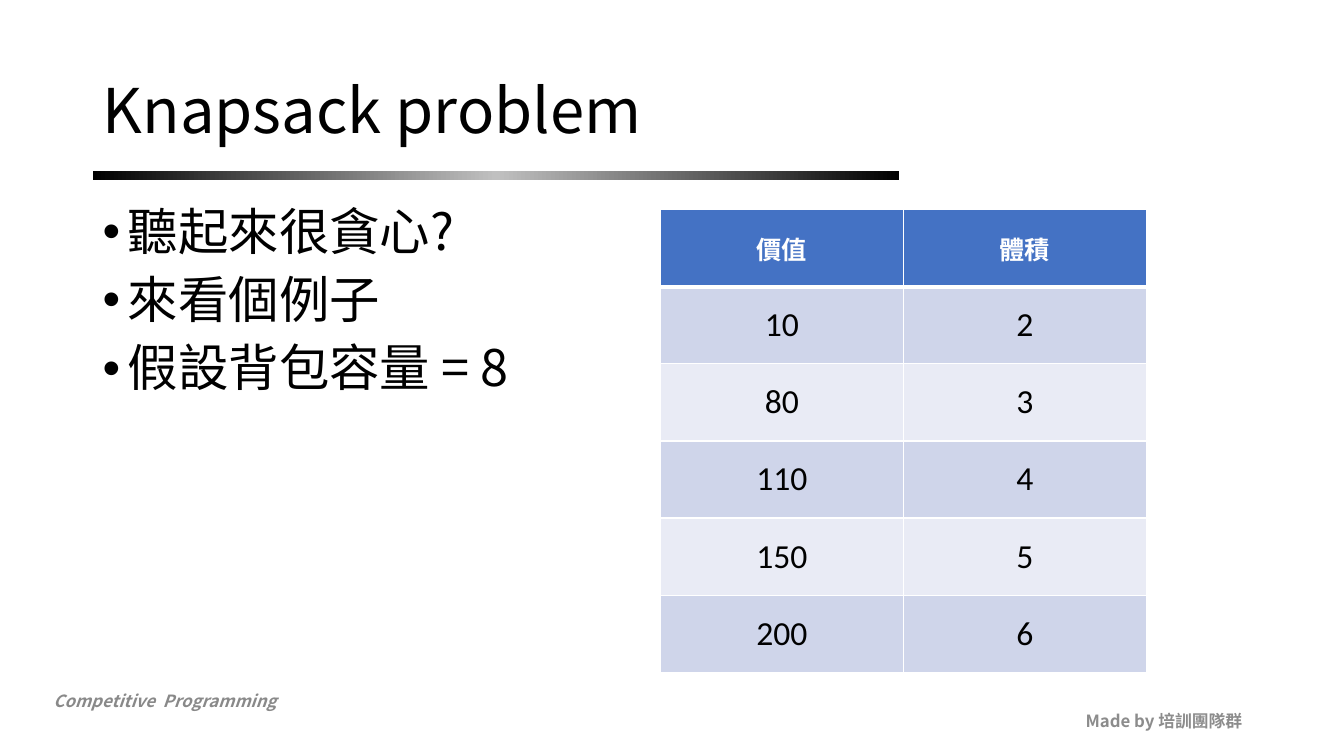
from copy import deepcopy

from lxml.etree import SubElement
from pptx import Presentation
from pptx.dml.color import RGBColor
from pptx.enum.shapes import MSO_SHAPE
from pptx.enum.text import MSO_ANCHOR, PP_ALIGN
from pptx.oxml import parse_xml
from pptx.oxml.ns import nsdecls, qn
from pptx.util import Pt

PX = 9144  # 100 px to the inch
FONT = "Noto Sans CJK SC"
COLORS = {
    "text": "000000", "white": "FFFFFF", "silver": "C0C0C0",
    "footer": "898989", "credit": "8C8C8C",
    "header": "4472C4", "odd": "CFD5EA", "even": "E9EBF5",
}


def rgb(name):
    return RGBColor.from_string(COLORS[name])


def add_text(box, lines, size, color, anchor=MSO_ANCHOR.TOP, bold=False):
    """Add a wrapped text box with one paragraph per line; return its paragraphs."""
    frame = slide.shapes.add_textbox(*(n * PX for n in box)).text_frame
    frame.word_wrap = True
    frame.vertical_anchor = anchor
    frame.text = "\n".join(lines)
    for paragraph in frame.paragraphs:
        font = paragraph.font
        font.name, font.size, font.bold = FONT, Pt(size), bold
        font.color.rgb = rgb(color)
        defaults = paragraph._p.pPr.find(qn("a:defRPr"))
        SubElement(defaults, qn("a:ea"), typeface=FONT)
    return frame.paragraphs


prs = Presentation()
prs.slide_width, prs.slide_height = 1333 * PX, 750 * PX
slide = prs.slides.add_slide(prs.slide_layouts[6])

# Footer
footer = add_text((43, 680, 425, 30), ["Competitive  Programming"], 12, "footer", bold=True)
footer[0].font.italic = True
credit = add_text((942, 695, 300, 40), ["Made by 培訓團隊群"], 12, "credit",
                  MSO_ANCHOR.MIDDLE, bold=True)
credit[0].alignment = PP_ALIGN.RIGHT

# Title and its gradient rule
rule = slide.shapes.add_shape(MSO_SHAPE.RECTANGLE, 92 * PX, 170 * PX, 800 * PX, 9 * PX)
rule.shadow.inherit = False
rule.line.fill.background()
rule.fill.gradient()
rule.fill.gradient_angle = 0
stop_list = rule._element.spPr.find(qn("a:gradFill")).find(qn("a:gsLst"))
stop_list.insert(1, deepcopy(stop_list[0]))
for stop, position, color in zip(rule.fill.gradient_stops, (0, 0.5, 1),
                                 ("text", "silver", "text")):
    stop.position = position
    stop.color.rgb = rgb(color)

title = add_text((92, 40, 1150, 145), ["Knapsack problem"], 44, "text", MSO_ANCHOR.MIDDLE)
title[0].line_spacing = 0.9

# Bullets
points = ["聽起來很貪心?", "來看個例子", "假設背包容量 = 8"]
for point in add_text((92, 200, 1150, 476), points, 36, "text"):
    point.line_spacing = 0.9
    point.space_before = Pt(10)
    properties = point._p.pPr
    properties.set("marL", str(25 * PX))
    properties.set("indent", str(-25 * PX))
    defaults = properties.find(qn("a:defRPr"))
    defaults.addprevious(parse_xml(f'<a:buFont {nsdecls("a")} typeface="Arial"/>'))
    defaults.addprevious(parse_xml(f'<a:buChar {nsdecls("a")} char="•"/>'))

# Items: value and volume
items = [("價值", "體積"), (10, 2), (80, 3), (110, 4), (150, 5), (200, 6)]
table = slide.shapes.add_table(len(items), 2, 655 * PX, 208 * PX, 482 * PX, 459 * PX).table
table.horz_banding = False
for row, item in enumerate(items):
    is_header = row == 0
    for column, entry in enumerate(item):
        cell = table.cell(row, column)
        cell.text = str(entry)
        cell.vertical_anchor = MSO_ANCHOR.MIDDLE
        cell.fill.solid()
        cell.fill.fore_color.rgb = rgb("header" if is_header else "odd" if row % 2 else "even")
        paragraph = cell.text_frame.paragraphs[0]
        paragraph.alignment = PP_ALIGN.CENTER
        font = paragraph.font
        font.name, font.size, font.bold = "Calibri", Pt(18 if is_header else 24), is_header
        font.color.rgb = rgb("white" if is_header else "text")
        widths = {"L": 1, "R": 1, "T": 3 if row == 1 else 1, "B": 3 if is_header else 1}
        for index, (side, width) in enumerate(widths.items()):
            cell._tc.tcPr.insert(index, parse_xml(
                f'<a:ln{side} {nsdecls("a")} w="{Pt(width)}"><a:solidFill>'
                f'<a:srgbClr val="{COLORS["white"]}"/></a:solidFill></a:ln{side}>'))

prs.save("out.pptx")
